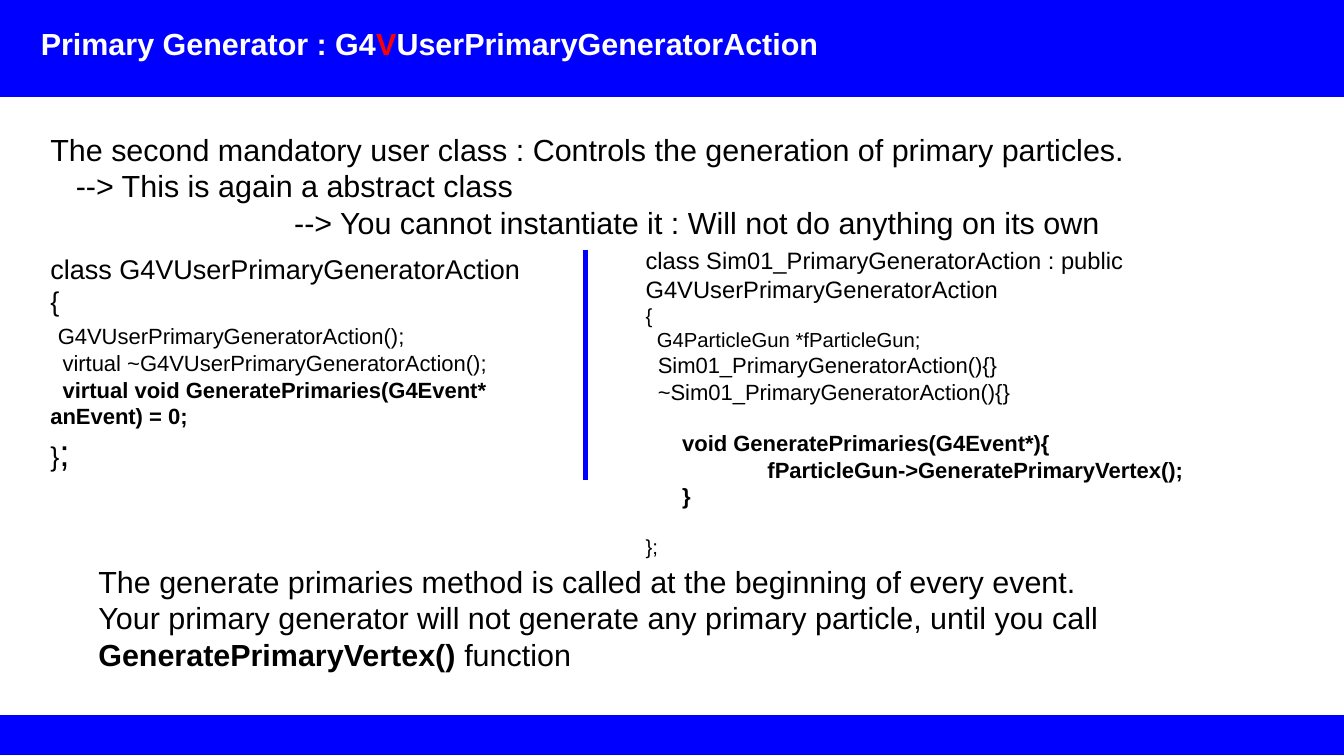
from pptx import Presentation
from pptx.dml.color import RGBColor
from pptx.enum.shapes import MSO_CONNECTOR, MSO_SHAPE
from pptx.oxml import parse_xml
from pptx.oxml.ns import nsdecls
from pptx.util import Cm, Pt

BLUE = RGBColor(0, 0, 255)
RED = RGBColor(255, 0, 0)
WHITE = RGBColor(255, 255, 255)
BLACK = RGBColor(0, 0, 0)
WIDTH, HEIGHT = 28, 15.75


def run(text, size=18, bold=False, color=BLACK):
    return text, size, bold, color


def line(*runs, indent=0, before=0):
    return runs, indent, before


def add_band(slide, top, height):
    band = slide.shapes.add_shape(MSO_SHAPE.RECTANGLE, 0, Cm(top), Cm(WIDTH), Cm(height))
    band.shadow.inherit = False
    band.fill.solid()
    band.fill.fore_color.rgb = BLUE
    band.line.color.rgb = BLUE
    band.line.width = Pt(0.75)


def add_text(slide, left, top, width, height, lines):
    frame = slide.shapes.add_textbox(Cm(left), Cm(top), Cm(width), Cm(height)).text_frame
    frame.word_wrap = True
    for number, (runs, indent, before) in enumerate(lines):
        paragraph = frame.add_paragraph() if number else frame.paragraphs[0]
        if indent:
            paragraph._p.get_or_add_pPr().set("marL", str(Cm(indent)))
        if before:
            paragraph.space_before = Pt(before)
        for text, size, bold, color in runs:
            part = paragraph.add_run()
            part.text = text
            part.font.name = "Arial"
            part.font.size = Pt(size)
            part.font.bold = bold
            part.font.color.rgb = color


def add_divider(slide, x, top, bottom):
    divider = slide.shapes.add_connector(MSO_CONNECTOR.STRAIGHT, Cm(x), Cm(top), Cm(x), Cm(bottom))
    divider.line.color.rgb = BLUE
    divider.line.width = Pt(2.83)
    divider._element.spPr.append(parse_xml(f"<a:effectLst {nsdecls('a')}/>"))


def main():
    deck = Presentation()
    deck.slide_width, deck.slide_height = Cm(WIDTH), Cm(HEIGHT)
    slide = deck.slides.add_slide(deck.slide_layouts[6])

    add_band(slide, 0, 2)
    add_band(slide, 14.92, 0.8)
    add_text(slide, 0.6, 0.4, 26.2, 0.97, [
        line(run("Primary Generator : G4", bold=True, color=WHITE),
             run("V", bold=True, color=RED),
             run("UserPrimaryGeneratorAction", bold=True, color=WHITE)),
    ])
    add_text(slide, 0.8, 2.6, 26, 3.8, [
        line(run("The second mandatory user class : Controls the generation of primary particles.")),
        line(run("--> This is again a abstract class"), indent=0.53),
        line(run("--> You cannot instantiate it : Will not do anything on its own"), indent=5.08),
    ])
    add_text(slide, 0.8, 5.13, 11, 6.96, [
        line(run("class G4VUserPrimaryGeneratorAction", 16)),
        line(run("{", 16)),
        line(run(" ", 16), run("G4VUserPrimaryGeneratorAction();", 13)),
        line(run("  virtual ~G4VUserPrimaryGeneratorAction();", 13)),
        line(run("  virtual void GeneratePrimaries(G4Event* anEvent) = 0;", 13, True)),
        line(run("}", 16), run(";", 22)),
    ])
    add_text(slide, 13.2, 5, 13.4, 6.25, [
        line(run("class Sim01_PrimaryGeneratorAction : public G4VUserPrimaryGeneratorAction", 14)),
        line(run("{", 12)),
        line(run("  G4ParticleGun *fParticleGun;", 12)),
        line(run("  Sim01_PrimaryGeneratorAction(){}", 13)),
        line(run("  ~Sim01_PrimaryGeneratorAction(){}", 13)),
        line(run("      void GeneratePrimaries(G4Event*){", 13, True), before=15),
        line(run("fParticleGun->GeneratePrimaryVertex();", 13, True), indent=2.54),
        line(run("      }", 13, True)),
        line(run("};", 12), before=15),
    ])
    add_divider(slide, 12.2, 5.2, 10)
    add_text(slide, 1.8, 11.6, 24.6, 2.4, [
        line(run("The generate primaries method is called at the beginning of every event.")),
        line(run("Your primary generator will not generate any primary particle, until you call "),
             run("GeneratePrimaryVertex() ", bold=True),
             run("function")),
    ])
    deck.save("out.pptx")


if __name__ == "__main__":
    main()
